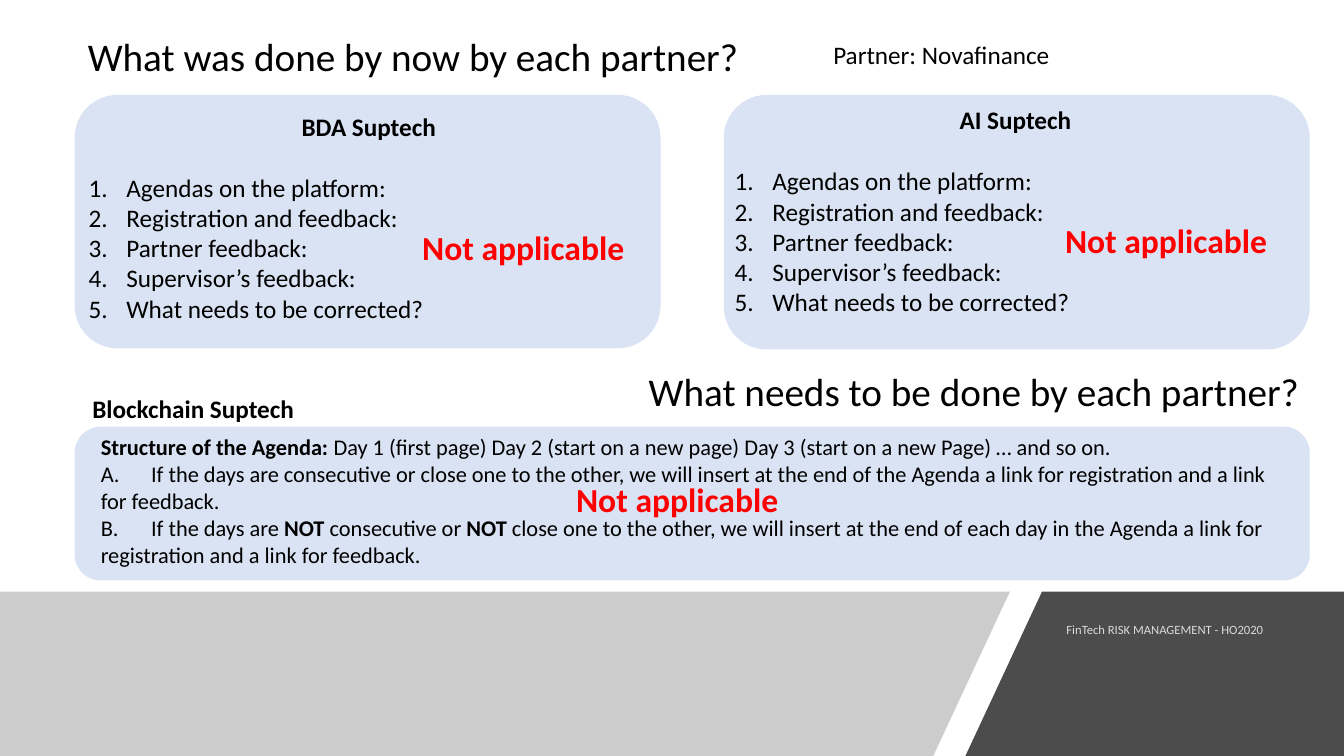
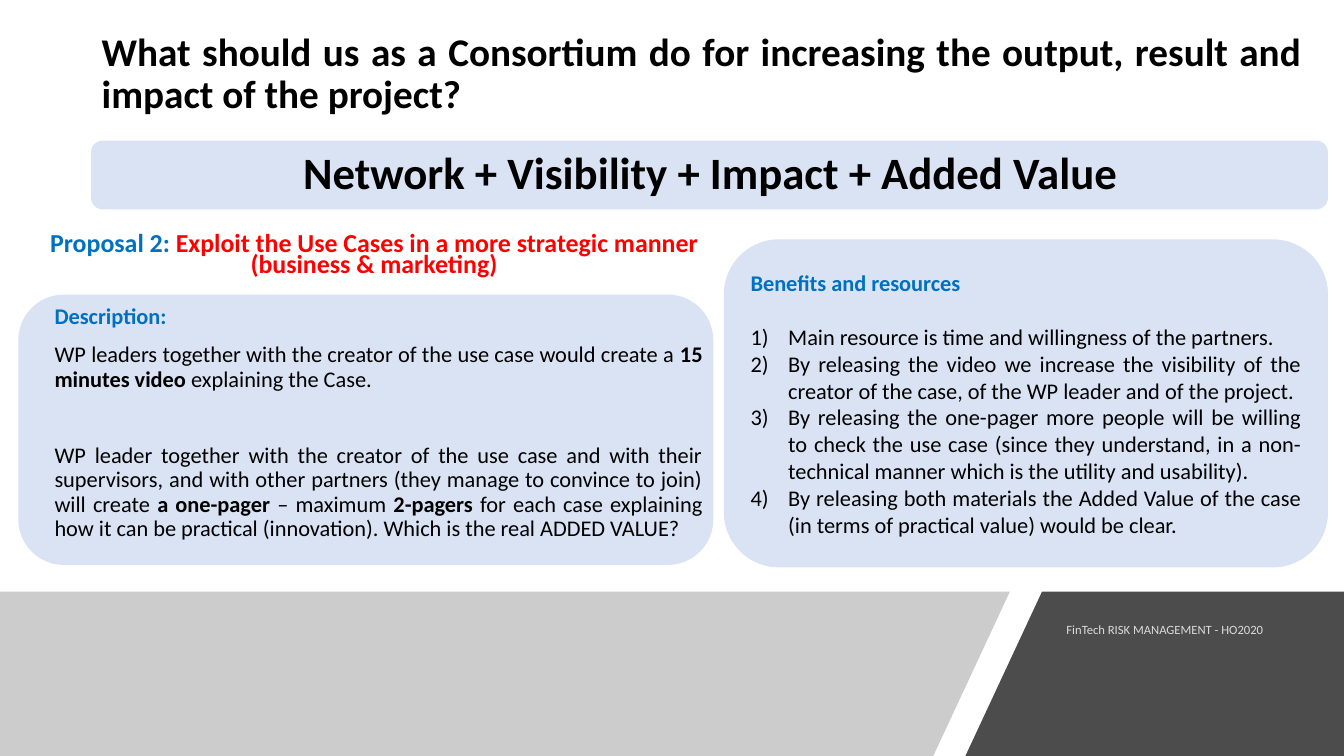
from dataclasses import dataclass

from lxml.etree import SubElement
from pptx import Presentation
from pptx.dml.color import RGBColor
from pptx.enum.shapes import MSO_SHAPE
from pptx.enum.text import MSO_ANCHOR, MSO_AUTO_SIZE, PP_ALIGN
from pptx.oxml.ns import qn
from pptx.util import Cm, Pt


@dataclass(frozen=True)
class Theme:
    font: str = "Calibri"
    black: str = "000000"
    white: str = "FFFFFF"
    gray: str = "808080"
    red: str = "FF0000"
    blue: str = "0070C0"
    panel: str = "DAE3F3"
    banner: float = 32
    title: float = 28
    stamp: float = 24
    proposal: float = 18.5
    label: float = 18
    body: float = 16
    footer: float = 9


THEME = Theme()
WIDTH, HEIGHT = 33.87, 19.05
BAND_TOP = 14.91
LIST_INDENT = 0.95
LETTER_TAB = 1.23
TWO_CONTENT = 3


@dataclass(frozen=True)
class Text:
    """Runs are (text, bold, colour); the rest formats the paragraph."""
    runs: tuple
    size: float = THEME.body
    align: PP_ALIGN = PP_ALIGN.LEFT
    spacing: float = 1.0
    before: float = 0
    after: float = 0
    number: str = ""
    tab: float = 0


def plain(text, color=THEME.black):
    return text, False, color


def bold(text, color=THEME.black):
    return text, True, color


def numbered(items, number, gap, **style):
    """Numbered paragraphs, the first set off by a gap."""
    return [Text((plain(item),), number=number, before=0 if index else gap, **style)
            for index, item in enumerate(items)]


# Content: places are left, top, width, height in centimetres
FOOTER = "FinTech RISK MANAGEMENT - HO2020"
FOOTER_PLACE = (26.16, 15.37, 5.92, 1.02)
BANDS = [
    ([(0, BAND_TOP), (25.45, BAND_TOP), (23.52, HEIGHT), (0, HEIGHT)], THEME.gray, 40),
    ([(26.26, BAND_TOP), (WIDTH, BAND_TOP), (WIDTH, HEIGHT), (24.33, HEIGHT)], THEME.black, 70),
]

QUESTIONS = [
    "Agendas on the platform:",
    "Registration and feedback:",
    "Partner feedback:",
    "Supervisor’s feedback:",
    "What needs to be corrected?",
]
BENEFITS = [
    "Main resource is time and willingness of the partners.",
    "By releasing the video we increase the visibility of the creator of the case, "
    "of the WP leader and of the project.",
    "By releasing the one-pager more people will be willing to check the use case "
    "(since they understand, in a non-technical manner which is the utility and usability).",
    "By releasing both materials the Added Value of the case "
    "(in terms of practical value) would be clear.",
]
AGENDA = [
    Text((bold("Structure of the Agenda: "),
          plain("Day 1 (first page) Day 2 (start on a new page) "
                "Day 3 (start on a new Page) … and so on."))),
    Text((plain("A.\tIf the days are consecutive or close one to the other, we will insert "
                "at the end of the Agenda a link for registration and a link for feedback."),),
         tab=LETTER_TAB),
    Text((plain("B.\tIf the days are "), bold("NOT"), plain(" consecutive or "), bold("NOT"),
          plain(" close one to the other, we will insert at the end of each day in the "
                "Agenda a link for registration and a link for feedback.")),
         tab=LETTER_TAB),
]
JUSTIFIED = dict(align=PP_ALIGN.JUSTIFY, spacing=0.9)
DESCRIPTION = [
    Text((bold("Description:", THEME.blue),), **JUSTIFIED),
    Text((plain("WP leaders together with the creator of the use case would create a "),
          bold("15 minutes video"), plain(" explaining the Case.")),
         before=10, **JUSTIFIED),
    Text((plain("WP leader together with the creator of the use case and with their "
                "supervisors, and with other partners (they manage to convince to join) "
                "will create "),
          bold("a one-pager "), plain("– maximum "), bold("2-pagers "),
          plain("for each case explaining how it can be practical (innovation). "
                "Which is the real ADDED VALUE?")),
         before=37.5, **JUSTIFIED),
]


def question_list(heading):
    return [Text((bold(heading),), THEME.label, PP_ALIGN.CENTER),
            *numbered(QUESTIONS, "arabicPeriod", 22, size=THEME.label)]


STAMP = [Text((bold("Not applicable", THEME.red),), THEME.stamp)]
STAMP_SPOTS = [(10.39, 5.59), (26.59, 5.41), (14.27, 11.94)]

SLIDES = [
    {
        "panels": [(1.9, 10.77, 31.09, 3.84), (18.26, 2.41, 14.73, 6.38),
                   (1.9, 2.41, 14.73, 6.35)],
        "title": ((1.96, 0.81, 28.27, 1.35),
                  [Text((plain("What was done by now by each partner?"),),
                        THEME.title, spacing=0.9)]),
        "bodies": [
            ((1.98, 2.67, 14.63, 6.4), question_list("BDA Suptech"), MSO_ANCHOR.TOP),
            ((18.26, 2.51, 14.66, 6.4), question_list("AI Suptech"), MSO_ANCHOR.TOP),
        ],
        "boxes": [
            ((20.75, 0.86, 8.38, 1.02),
             [Text((plain("Partner: Novafinance"),), THEME.label)]),
            ((16.1, 9.37, 17.77, 1.32),
             [Text((plain("What needs to be done by each partner?"),),
                   THEME.title, spacing=0.8)]),
            ((0.64, 9.78, 8.46, 1.02),
             [Text((bold("Blockchain Suptech"),), THEME.label, PP_ALIGN.CENTER)]),
            ((2.29, 10.8, 30.3, 3.68), AGENDA),
            *[((left, top, 7.8, 1.27), STAMP) for left, top in STAMP_SPOTS],
        ],
    },
    {
        "panels": [(2.31, 3.56, 31.14, 1.7), (0.48, 7.44, 17.48, 6.78),
                   (18.26, 6.05, 15.19, 8.23)],
        "title": ((2.31, 0.69, 30.73, 2.39),
                  [Text((bold("What should us as a Consortium do for increasing the output, "
                              "result and impact of the project?"),),
                        THEME.title, **JUSTIFIED)]),
        "bodies": [
            ((1.12, 7.57, 16.84, 6.58), DESCRIPTION, MSO_ANCHOR.TOP),
            ((18.66, 6.45, 14.39, 7.43),
             [Text((bold("Benefits and resources", THEME.blue),), align=PP_ALIGN.JUSTIFY),
              *numbered(BENEFITS, "arabicParenR", 19.5, align=PP_ALIGN.JUSTIFY)],
             MSO_ANCHOR.MIDDLE),
        ],
        "boxes": [
            ((0.89, 5.79, 17.07, 1.47),
             [Text((bold("Proposal 2: ", THEME.blue),
                    bold("Exploit the Use Cases in a more strategic manner "
                         "(business & marketing)", THEME.red)),
                   THEME.proposal, PP_ALIGN.CENTER, 0.7)]),
            ((4.88, 3.53, 23.55, 1.63),
             [Text((bold("Network + Visibility + Impact + Added Value"),),
                   THEME.banner, PP_ALIGN.RIGHT)]),
        ],
    },
]


def rgb(color):
    return RGBColor.from_string(color)


def lengths(place):
    return [Cm(value) for value in place]


def set_opacity(shape, percent):
    for color in shape.element.iter(qn("a:srgbClr")):
        SubElement(color, qn("a:alpha"), val=str(percent * 1000))


def format_paragraph(paragraph, text):
    paragraph.alignment = text.align
    paragraph.line_spacing = text.spacing
    paragraph.space_before = Pt(text.before)
    paragraph.space_after = Pt(text.after)
    properties = paragraph._p.get_or_add_pPr()
    indent = Cm(LIST_INDENT) if text.number else 0
    properties.set("marL", str(indent))
    properties.set("indent", str(-indent))
    if text.number:
        SubElement(properties, qn("a:buFont"), typeface="+mj-lt")
        SubElement(properties, qn("a:buAutoNum"), type=text.number)
    else:
        SubElement(properties, qn("a:buNone"))
    if text.tab:
        tabs = SubElement(properties, qn("a:tabLst"))
        SubElement(tabs, qn("a:tab"), pos=str(Cm(text.tab)), algn="l")


def write(shape, texts, anchor=MSO_ANCHOR.TOP):
    frame = shape.text_frame
    frame.word_wrap = True
    frame.auto_size = MSO_AUTO_SIZE.NONE
    frame.vertical_anchor = anchor
    for index, text in enumerate(texts):
        paragraph = frame.add_paragraph() if index else frame.paragraphs[0]
        format_paragraph(paragraph, text)
        for content, is_bold, color in text.runs:
            run = paragraph.add_run()
            run.text = content
            run.font.name = THEME.font
            run.font.size = Pt(text.size)
            run.font.bold = is_bold
            run.font.color.rgb = rgb(color)


def fill_placeholder(shape, place, texts, anchor=MSO_ANCHOR.TOP):
    shape.left, shape.top, shape.width, shape.height = lengths(place)
    write(shape, texts, anchor)


def add_text(slide, place, texts, anchor=MSO_ANCHOR.TOP):
    box = slide.shapes.add_textbox(*lengths(place))
    write(box, texts, anchor)
    return box


def add_panel(slide, place):
    """Rounded panel, sent behind the placeholders."""
    panel = slide.shapes.add_shape(MSO_SHAPE.ROUNDED_RECTANGLE, *lengths(place))
    panel.shadow.inherit = False
    panel.fill.solid()
    panel.fill.fore_color.rgb = rgb(THEME.panel)
    panel.line.color.rgb = rgb(THEME.panel)
    panel.line.width = Pt(1)
    panel.element.getparent().insert(2, panel.element)


def add_footer(slide):
    for points, color, opacity in BANDS:
        start, *others = [lengths(point) for point in points]
        builder = slide.shapes.build_freeform(*start)
        builder.add_line_segments(others, close=True)
        band = builder.convert_to_shape()
        band.shadow.inherit = False
        band.fill.solid()
        band.fill.fore_color.rgb = rgb(color)
        band.line.fill.background()
        set_opacity(band, opacity)
    footer = Text((plain(FOOTER, THEME.white),), THEME.footer, PP_ALIGN.RIGHT, 0.9, after=6)
    set_opacity(add_text(slide, FOOTER_PLACE, [footer], MSO_ANCHOR.MIDDLE), 80)


def build_slide(presentation, content):
    slide = presentation.slides.add_slide(presentation.slide_layouts[TWO_CONTENT])
    for place in content["panels"]:
        add_panel(slide, place)
    add_footer(slide)
    fill_placeholder(slide.shapes.title, *content["title"])
    for index, body in enumerate(content["bodies"], start=1):
        fill_placeholder(slide.placeholders[index], *body)
    for place, texts in content["boxes"]:
        add_text(slide, place, texts)


def main():
    presentation = Presentation()
    presentation.slide_width, presentation.slide_height = lengths((WIDTH, HEIGHT))
    for content in SLIDES:
        build_slide(presentation, content)
    presentation.save("out.pptx")


if __name__ == "__main__":
    main()
